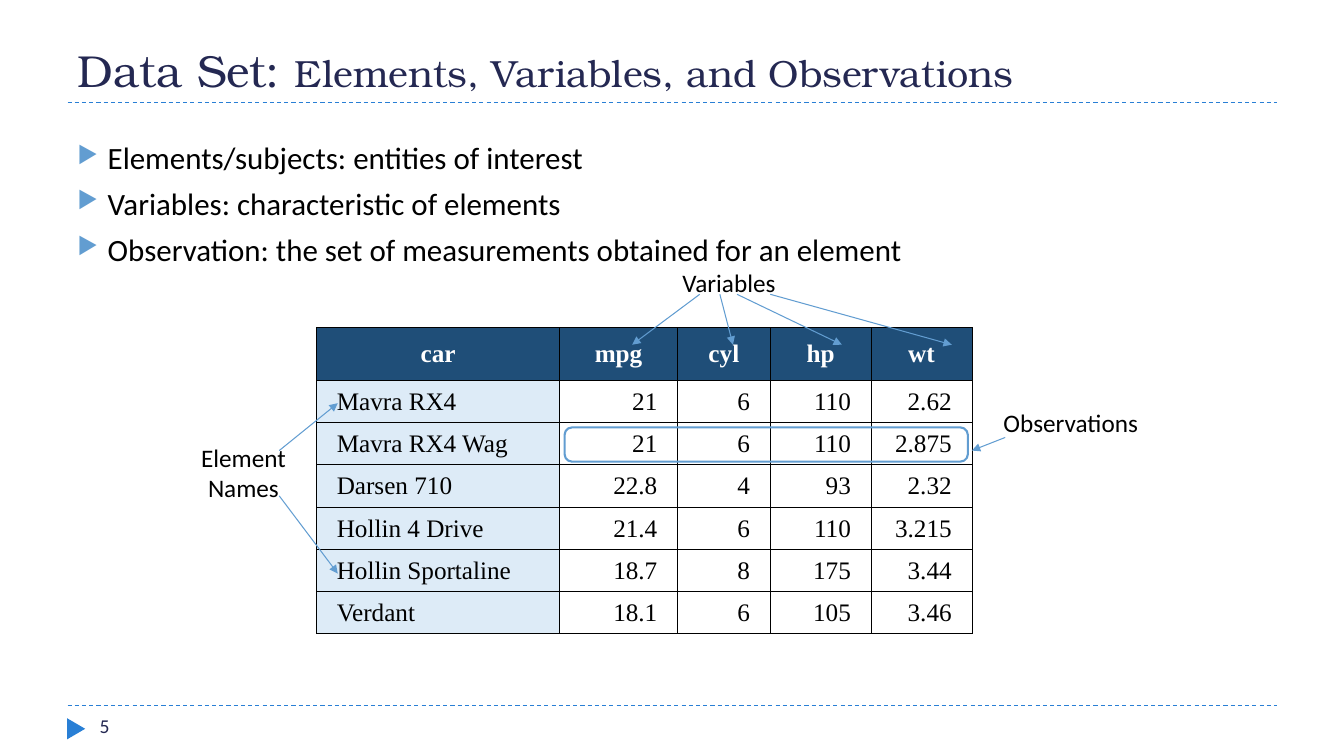
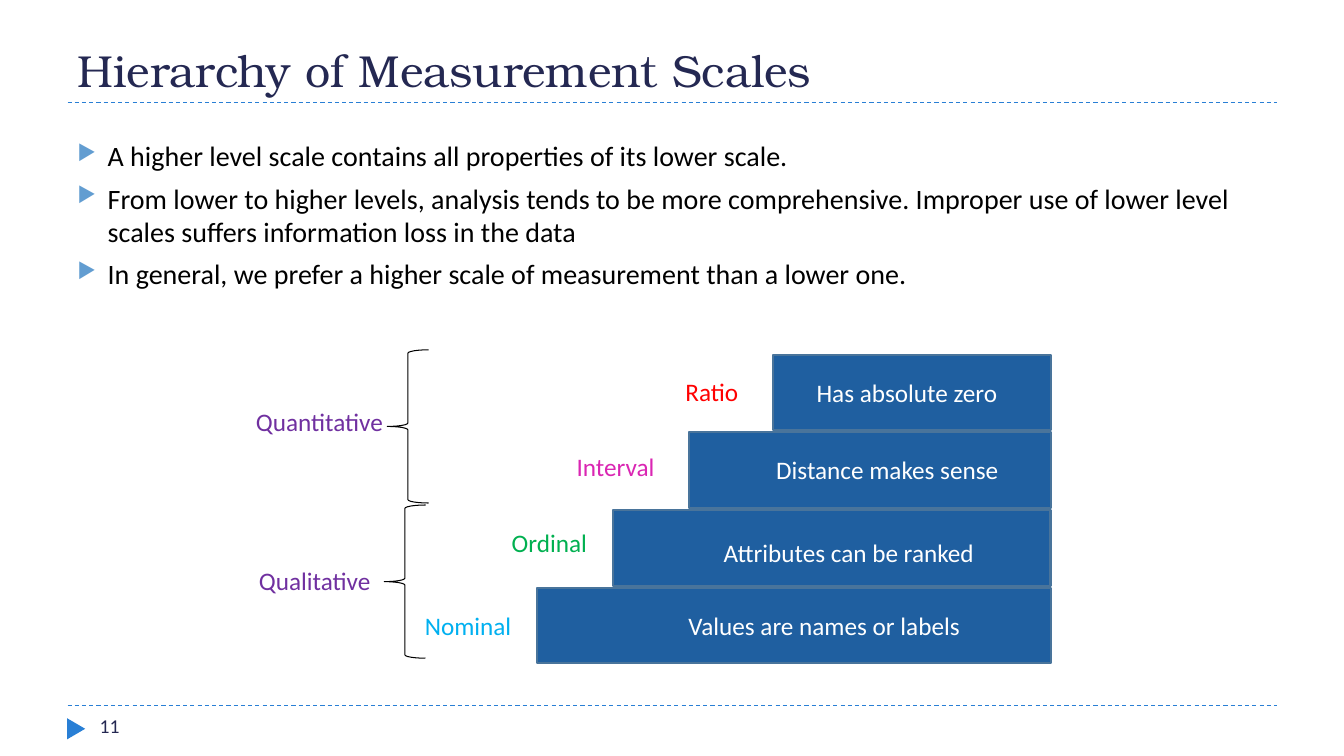
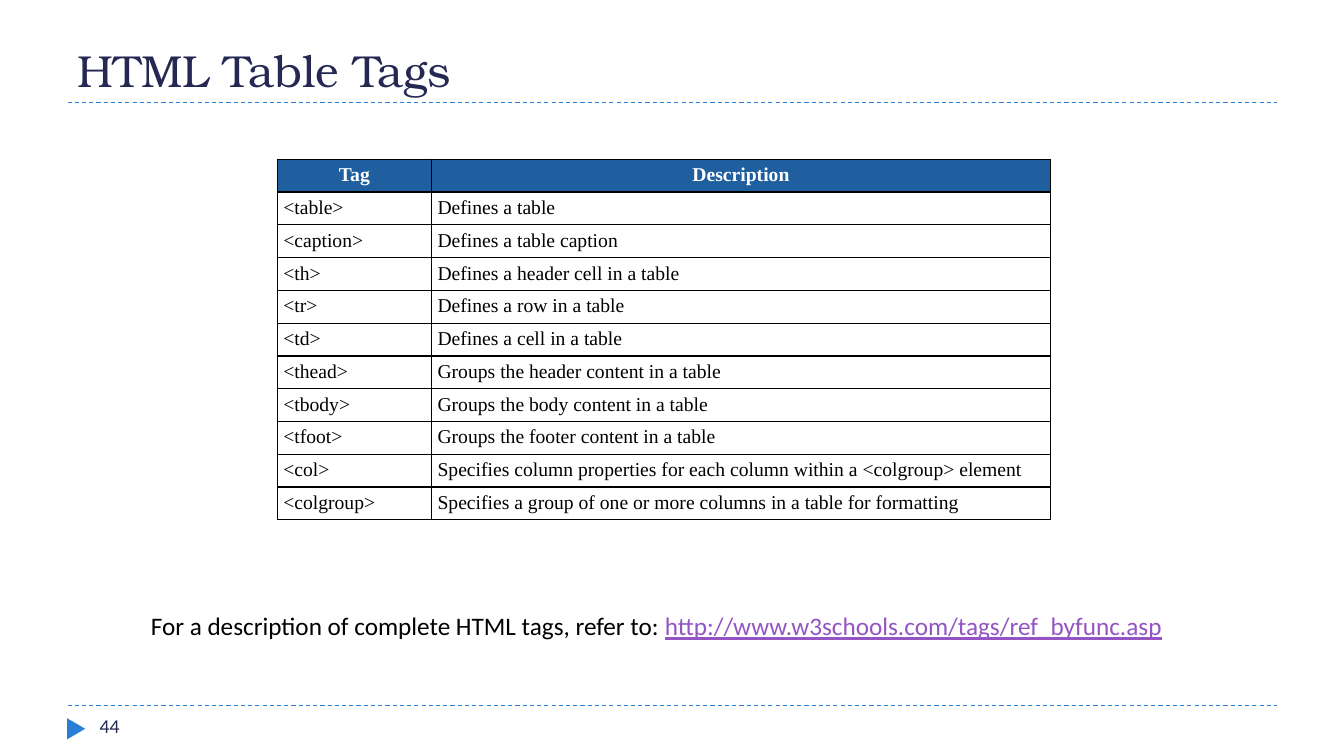
from lxml import etree
from pptx import Presentation
from pptx.dml.color import RGBColor
from pptx.enum.dml import MSO_LINE
from pptx.enum.shapes import MSO_CONNECTOR, MSO_SHAPE
from pptx.enum.text import MSO_ANCHOR, PP_ALIGN
from pptx.oxml import parse_xml
from pptx.oxml.ns import nsdecls, qn
from pptx.util import Inches, Pt

LEFT, CENTER, RIGHT = PP_ALIGN.LEFT, PP_ALIGN.CENTER, PP_ALIGN.RIGHT
TOP, MIDDLE, BOTTOM = MSO_ANCHOR.TOP, MSO_ANCHOR.MIDDLE, MSO_ANCHOR.BOTTOM
DASH = MSO_LINE.DASH
STRAIGHT = MSO_CONNECTOR.STRAIGHT

COLORS = {
    "navy": "242852", "rule": "297FD5", "accent": "629DD1",
    "bar": "1F5FA0", "bar_edge": "49749B", "head": "1F4E78", "pale": "DDEBF7",
    "black": "000000", "white": "FFFFFF", "link": "9454C3", "purple": "7030A0",
    "blue": "00B0F0", "green": "00B050", "pink": "DA26B3", "red": "FF0000",
}
RGB = {name: RGBColor.from_string(value) for name, value in COLORS.items()}
BODY, TITLE, SERIF = "Calibri", "TeX Gyre Bonum", "Times New Roman"


def write(target, *paras, at=None, size=18, font=BODY, color="black", bold=False,
          align=LEFT, anchor=TOP, bullet=False):
    """Write into a cell, or into a new text box when a place is given.

    A paragraph is a string or a list of (text, overrides) runs.
    """
    if at:
        target = target.shapes.add_textbox(*map(Inches, at))
    tf = target.text_frame
    tf.word_wrap = True
    tf.vertical_anchor = anchor
    for i, para in enumerate(paras):
        p = tf.add_paragraph() if i else tf.paragraphs[0]
        p.alignment = align
        if bullet:
            pPr = p._p.get_or_add_pPr()
            pPr.set("marL", str(Inches(0.3)))
            pPr.set("indent", str(Inches(-0.3)))
            for xml in (f'<a:buClr {nsdecls("a")}><a:srgbClr val="{COLORS["accent"]}"/></a:buClr>',
                        f'<a:buSzPct {nsdecls("a")} val="76000"/>',
                        f'<a:buChar {nsdecls("a")} char="▶"/>'):
                pPr.append(parse_xml(xml))
            if i:
                p.space_before = Pt(6)
        for text, fmt in [(para, {})] if isinstance(para, str) else para:
            r = p.add_run()
            r.text = text
            r.font.name = font
            r.font.bold = bold
            r.font.size = Pt(fmt.get("size", size))
            r.font.color.rgb = RGB[fmt.get("color", color)]
            if fmt.get("underline"):
                r.font.underline = True


def add_line(s, start, end, color, dash=None, arrow=False):
    """Draw a thin straight line, with an arrowhead at its end if asked."""
    c = s.shapes.add_connector(STRAIGHT, *map(Inches, (*start, *end)))
    c.line.color.rgb = RGB[color]
    c.line.width = Pt(0.75)
    if dash:
        c.line.dash_style = dash
    spPr = c._element.spPr
    if arrow:
        etree.SubElement(spPr.find(qn("a:ln")), qn("a:tailEnd"), type="triangle")
    etree.SubElement(spPr, qn("a:effectLst"))


prs = Presentation()
prs.slide_width, prs.slide_height = Inches(13.33), Inches(7.5)

# Shared frame: title, dashed rules, page marker and number
headings = [
    ([("Data Set: ", {}), ("Elements, Variables, and Observations", {"size": 27})], "5"),
    ("Hierarchy of Measurement Scales", "11"),
    ("HTML Table Tags", "44"),
]
slides = []
for title, number in headings:
    s = prs.slides.add_slide(prs.slide_layouts[6])
    for y in (7, 1.02):
        add_line(s, (0.67, y), (12.67, y), "rule", dash=DASH)
    marker = s.shapes.add_shape(MSO_SHAPE.ISOSCELES_TRIANGLE, *map(Inches, (0.65, 7.14, 0.21, 0.18)))
    marker.rotation = 90
    marker.shadow.inherit = False
    marker.fill.solid()
    marker.fill.fore_color.rgb = RGB["rule"]
    marker.line.fill.background()
    write(s, title, at=(0.67, 0.17, 12, 0.84), size=32, font=TITLE, color="navy", anchor=BOTTOM)
    write(s, number, at=(0.89, 7.03, 2.89, 0.32), size=14, color="navy")
    slides.append(s)
data_slide, scale_slide, tag_slide = slides

# Tables
cars = [
    ("car", "mpg", "cyl", "hp", "wt"),
    ("Mavra RX4", "21", "6", "110", "2.62"),
    ("Mavra RX4 Wag", "21", "6", "110", "2.875"),
    ("Darsen 710", "22.8", "4", "93", "2.32"),
    ("Hollin 4 Drive", "21.4", "6", "110", "3.215"),
    ("Hollin Sportaline", "18.7", "8", "175", "3.44"),
    ("Verdant", "18.1", "6", "105", "3.46"),
]
tags = [
    ("Tag", "Description"),
    ("<table>", "Defines a table"),
    ("<caption>", "Defines a table caption"),
    ("<th>", "Defines a header cell in a table"),
    ("<tr>", "Defines a row in a table"),
    ("<td>", "Defines a cell in a table"),
    ("<thead>", "Groups the header content in a table"),
    ("<tbody>", "Groups the body content in a table"),
    ("<tfoot>", "Groups the footer content in a table"),
    ("<col>", "Specifies column properties for each column within a <colgroup> element"),
    ("<colgroup>", "Specifies a group of one or more columns in a table for formatting"),
]
tables = [
    dict(slide=data_slide, rows=cars, left=3.14, top=3.25, cols=(2.41, 1.17, 0.92, 1, 1),
         heights=[0.52] + [0.42] * 6, margins=(0.2, 0.01, 0.2, 0), border=0.5, size=18,
         head="head", first="pale", rest=RIGHT, anchor=MIDDLE),
    dict(slide=tag_slide, rows=tags, left=2.75, top=1.58, cols=(1.53, 6.14),
         heights=[3.58 / len(tags)] * len(tags), margins=(0.06, 0.05, 0.06, 0.04), border=1, size=14,
         head="bar", first=None, rest=LEFT, anchor=TOP),
]
for t in tables:
    frame = t["slide"].shapes.add_table(
        len(t["rows"]), len(t["cols"]), Inches(t["left"]), Inches(t["top"]),
        Inches(sum(t["cols"])), Inches(sum(t["heights"])))
    table = frame.table
    table.first_row = table.horz_banding = False
    for column, width in zip(table.columns, t["cols"]):
        column.width = Inches(width)
    for i, values in enumerate(t["rows"]):
        table.rows[i].height = Inches(t["heights"][i])
        for j, value in enumerate(values):
            cell = table.cell(i, j)
            (cell.margin_left, cell.margin_top,
             cell.margin_right, cell.margin_bottom) = map(Inches, t["margins"])
            cell.vertical_anchor = t["anchor"]
            tcPr = cell._tc.get_or_add_tcPr()
            for side in "LRTB":
                tcPr.append(parse_xml(
                    f'<a:ln{side} {nsdecls("a")} w="{Pt(t["border"])}"><a:solidFill>'
                    f'<a:srgbClr val="{COLORS["black"]}"/></a:solidFill></a:ln{side}>'))
            fill = t["head"] if i == 0 else t["first"] if j == 0 else None
            if fill:
                cell.fill.solid()
                cell.fill.fore_color.rgb = RGB[fill]
            else:
                cell.fill.background()
            write(cell, value, size=t["size"], font=SERIF, bold=i == 0, anchor=t["anchor"],
                  color="black" if i else "white",
                  align=CENTER if i == 0 else t["rest"] if j else LEFT)

# Data set: labels and arrows around the table
for label, at in [("Variables", (6.27, 2.6, 1.92, 0.4)),
                  ("Observations", (9.83, 3.99, 1.58, 0.4)),
                  ("Element Names", (1.83, 4.34, 1.17, 0.71))]:
    write(data_slide, label, at=at, align=CENTER)
arrows = [((x1, 2.92), (x2, 3.42))
          for x1, x2 in ((6.94, 6.27), (7.14, 7.27), (7.31, 8.35), (7.64, 9.44))]
arrows += [((2.77, 4.47), (3.35, 4)), ((2.77, 4.92), (3.35, 5.69)), ((9.97, 4.34), (9.64, 4.47))]
for start, end in arrows:
    add_line(data_slide, start, end, "accent", arrow=True)

write(data_slide,
      "Elements/subjects: entities of interest",
      "Variables: characteristic of elements",
      "Observation: the set of measurements obtained for an element",
      at=(0.67, 1.33, 10.5, 1.2), size=22.1, bullet=True)

# Data set: outline around one observation
outline = data_slide.shapes.add_shape(MSO_SHAPE.ROUNDED_RECTANGLE, *map(Inches, (5.6, 4.24, 4, 0.34)))
outline.adjustments[0] = 0.22
outline.shadow.inherit = False
outline.fill.background()
outline.line.color.rgb = RGB["accent"]
outline.line.width = Pt(1.5)

# Measurement scales: bullets
write(scale_slide,
      "A higher level scale contains all properties of its lower scale.",
      "From lower to higher levels, analysis tends to be more comprehensive. "
      "Improper use of lower level scales suffers information loss in the data",
      "In general, we prefer a higher scale of measurement than a lower one.",
      at=(0.67, 1.33, 12, 1.74), size=20, bullet=True)

# Measurement scales: steps from the bottom up; bars and captions share one right edge
STEP_RIGHT, LOWEST_TOP, STEP_PITCH = 10.42, 5.83, 0.77
steps = [
    (5.33, "Values are names or labels", (6.73, 6.01), "Nominal", "blue", (3.67, 6.01)),
    (6.08, "Attributes can be ranked", (7.08, 5.28), "Ordinal", "green", (4.42, 5.18)),
    (6.83, "Distance makes sense", (7.6, 4.46), "Interval", "pink", (5.09, 4.43)),
    (7.67, "Has absolute zero", (8, 3.69), "Ratio", "red", (5.92, 3.68)),
]
for i, (left, caption, (caption_x, caption_y), name, color, name_at) in enumerate(steps):
    bar = scale_slide.shapes.add_shape(
        MSO_SHAPE.RECTANGLE, Inches(left), Inches(LOWEST_TOP - i * STEP_PITCH),
        Inches(STEP_RIGHT - left), Inches(0.75))
    bar.shadow.inherit = False
    bar.fill.solid()
    bar.fill.fore_color.rgb = RGB["bar"]
    bar.line.color.rgb = RGB["bar_edge"]
    bar.line.width = Pt(1.5)
    write(scale_slide, caption, at=(caption_x, caption_y, STEP_RIGHT - caption_x, 0.4), color="white")
    write(scale_slide, name, at=(*name_at, 1.5, 0.4), color=color, align=RIGHT)

# Measurement scales: braces with their groups
for group, x, y, brace_x, brace_y in [("Quantitative", 2.44, 3.98, 3.84, 3.47),
                                      ("Qualitative", 2.47, 5.56, 3.81, 5.01)]:
    write(scale_slide, group, at=(x, y, 1.58, 0.4), color="purple")
    brace = scale_slide.shapes.add_shape(
        MSO_SHAPE.RIGHT_BRACE, *map(Inches, (brace_x, brace_y, 0.41, 1.52)))
    brace.rotation = 180
    brace.shadow.inherit = False
    brace.fill.background()
    brace.line.color.rgb = RGB["black"]
    brace.line.width = Pt(0.75)

# Table tags: reference
write(tag_slide,
      [("For a description of complete HTML tags, refer to: ", {}),
       ("http://www.w3schools.com/tags/ref_byfunc.asp", {"color": "link", "underline": True})],
      at=(0.72, 6.01, 11.58, 0.4), align=CENTER)

prs.save("out.pptx")
